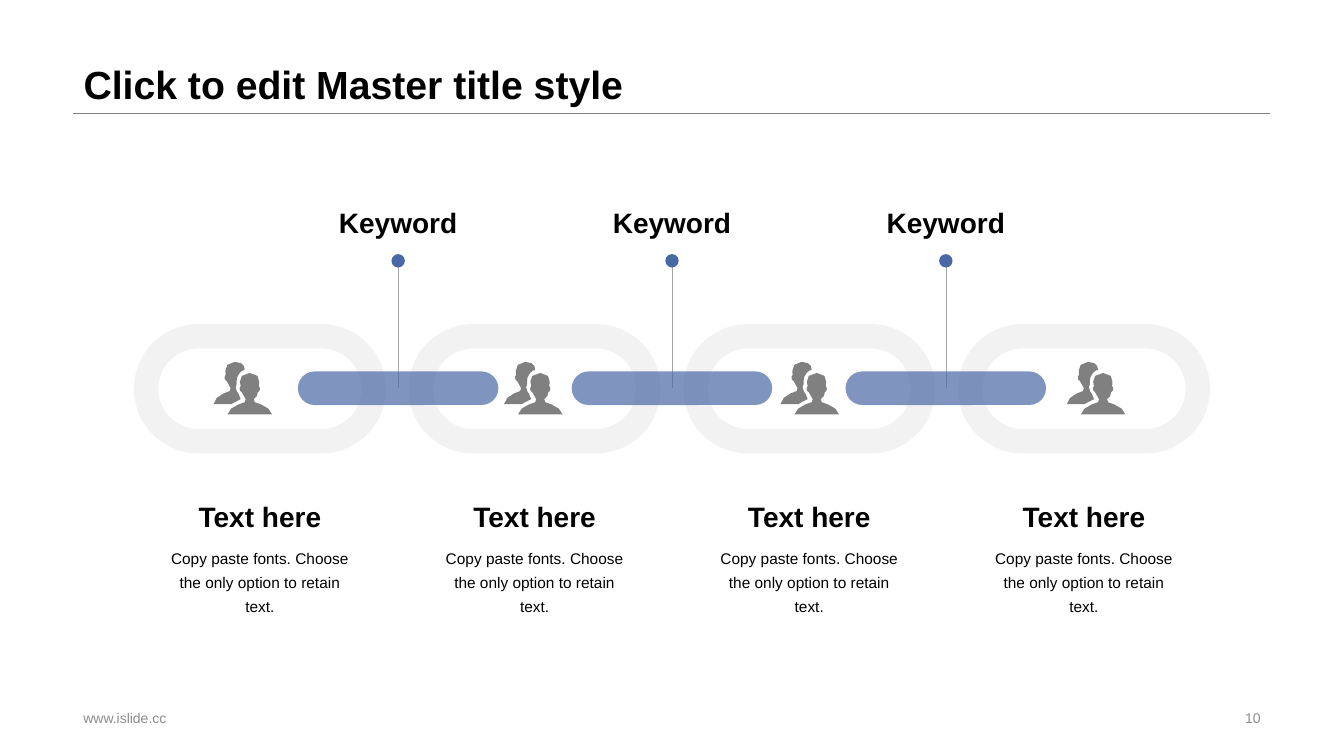
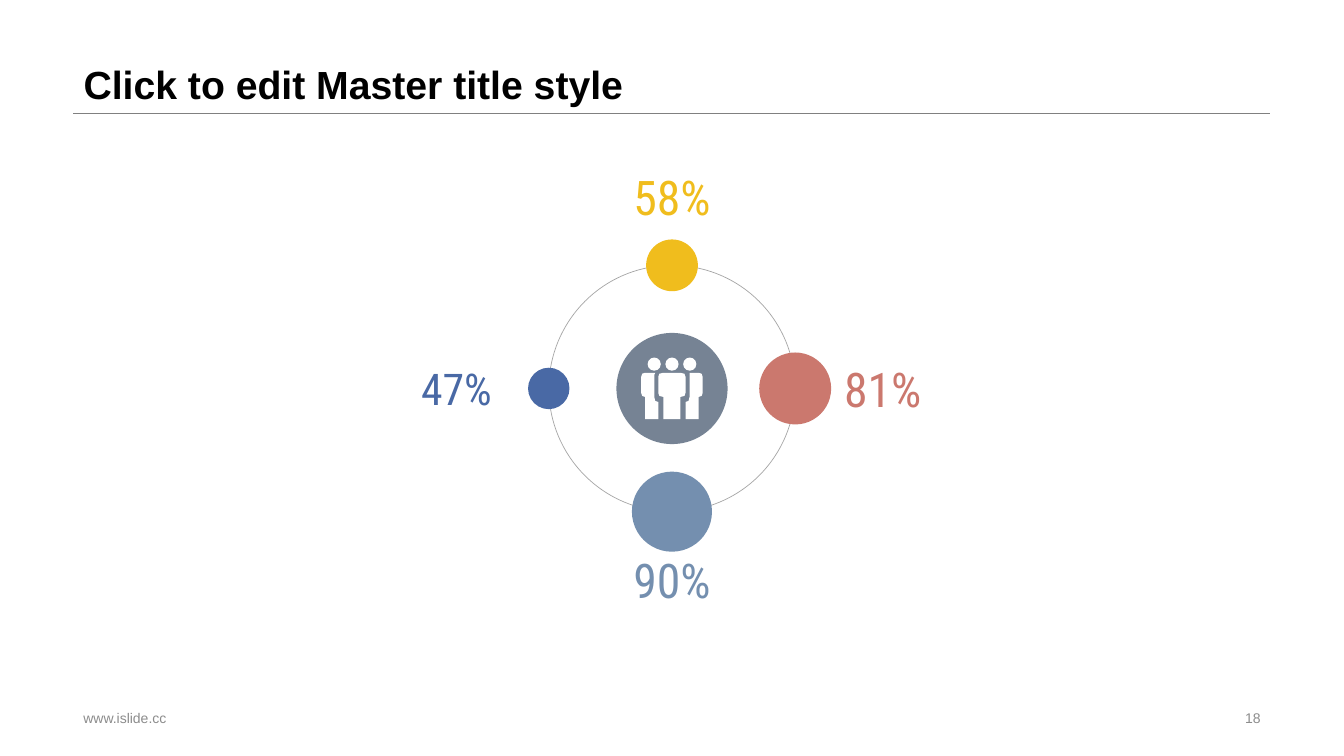
from lxml.etree import SubElement
from pptx import Presentation
from pptx.dml.color import RGBColor
from pptx.enum.shapes import MSO_CONNECTOR, MSO_SHAPE
from pptx.enum.text import MSO_ANCHOR, MSO_AUTO_SIZE, PP_ALIGN
from pptx.oxml.ns import qn
from pptx.util import Pt

HUES = {
    "ink": "000000", "foot": "8C8C8C", "rule": "808080", "icon": "808080",
    "line": "A6A6A6", "link": "F2F2F2", "blue": "4969A5", "gold": "F0BD1D",
    "red": "CB786E", "steel": "748FAF", "slate": "768394", "white": "FFFFFF",
}
SIDE, WIDE, MID = 52.5, 855, 480
PAIR = (
    "41,40 40,37 43,34,44,30 46,30,47,25,45,24 "
    "45,22,48,11,36,11 24,11,26,22,27,24 25,25,26,30,28,30 "
    "29,34,32,37 31,40 27,41,14,46,14,52 58,52 58,46,45,41,41,40/"
    "19,41 27,37 25,32 23,29 22,25 23,22 23,20,22,15,26,11 "
    "27,10,29,8,31,8 31,4,29,0,21,0 10,0,12,11,12,13 10,14,11,19,13,19 "
    "14,23,17,26 16,29 12,30,0,35,0,42 18,42"
).replace("29,34,32,37 ", "32,37 ").replace("14,23,17,26 ", "17,26 ")
TRIO = (
    "48,15 57,15 60,16 61,19 61,35 60,38 57,39 57,61 44,61 "
    "44,44 47,43 48,39 48,17/"
    "22,15 39,15 43,16 44,19 44,35 43,38 39,39 39,61 22,61 "
    "22,39 18,38 17,35 17,19 18,16/"
    "4,15 14,15 13,17 13,39 14,43 17,44 17,61 4,61 "
    "4,39 1,38 0,35 0,19 1,16"
)


def tint(name):
    """Return the named colour."""
    return RGBColor.from_string(HUES[name])


def write(frame, text, size=11, hue="ink", font="Arial", bold=False,
          align=PP_ALIGN.LEFT, anchor=MSO_ANCHOR.MIDDLE, lead=1.0, pad=None):
    """Fill a text frame with one formatted paragraph."""
    frame.text = text
    frame.word_wrap = True
    frame.auto_size = MSO_AUTO_SIZE.NONE
    frame.vertical_anchor = anchor
    if pad is not None:
        frame.margin_left = frame.margin_right = Pt(pad)
        frame.margin_top = frame.margin_bottom = Pt(pad)
    para = frame.paragraphs[0]
    para.alignment = align
    para.line_spacing = lead
    face = para.runs[0].font
    face.name, face.size, face.bold = font, Pt(size), bold
    face.color.rgb = tint(hue)


def label(slide, box, text, **style):
    """Add a text box with the given format."""
    write(slide.shapes.add_textbox(*map(Pt, box)).text_frame, text, **style)


def paint(shape, hue=None, edge=None, width=0.5):
    """Set fill and outline and drop the shadow."""
    shape.shadow.inherit = False
    if hue:
        shape.fill.solid()
        shape.fill.fore_color.rgb = tint(hue)
    else:
        shape.fill.background()
    if edge:
        shape.line.color.rgb = tint(edge)
        shape.line.width = Pt(width)
    else:
        shape.line.fill.background()


def disc(slide, x, y, size, hue=None, edge=None):
    """Add a circle around a centre."""
    box = (x - size / 2, y - size / 2, size, size)
    paint(slide.shapes.add_shape(MSO_SHAPE.OVAL, *map(Pt, box)), hue, edge)


def pill(slide, box, **look):
    """Add a bar with half-round ends."""
    bar = slide.shapes.add_shape(MSO_SHAPE.ROUNDED_RECTANGLE, *map(Pt, box))
    bar.adjustments[0] = 0.5
    paint(bar, **look)
    return bar


def stroke(slide, start, end, hue):
    """Add a thin straight line."""
    line = slide.shapes.add_connector(
        MSO_CONNECTOR.STRAIGHT, *map(Pt, start + end))
    line.line.color.rgb = tint(hue)
    line.line.width = Pt(0.25)
    SubElement(line.element.spPr, qn("a:effectLst"))


def bend(a, b, c, d, steps=3):
    """Return points along a cubic curve after its start."""
    return [tuple((1 - t) ** 3 * p + 3 * t * (1 - t) ** 2 * q
                  + 3 * t * t * (1 - t) * r + t ** 3 * s
                  for p, q, r, s in zip(a, b, c, d))
            for t in (n / steps for n in range(1, steps + 1))]


def glyph(slide, x, y, art, hue, scale=0.72):
    """Draw an icon from coded lines and curves."""
    form = None
    for part in art.split("/"):
        loop = []
        for piece in part.split():
            nums = [float(n) for n in piece.split(",")]
            ends = [(x + scale * p, y + scale * q)
                    for p, q in zip(nums[::2], nums[1::2])]
            loop += bend(loop[-1], *ends) if len(ends) == 3 else ends
        loop = [(Pt(p), Pt(q)) for p, q in loop]
        if form:
            form.move_to(*loop[0])
        else:
            form = slide.shapes.build_freeform(*loop[0], scale=1.0)
        form.add_line_segments(loop[1:], close=True)
    paint(form.convert_to_shape(), hue)


def frame(deck, number):
    """Add a slide with its title, rule and footer."""
    slide = deck.slides.add_slide(deck.slide_layouts[5])
    title = slide.shapes.title
    title.left, title.top, title.width, title.height = map(
        Pt, (SIDE, 0, WIDE, 80.6))
    write(title.text_frame, "Click to edit Master title style", size=28,
          bold=True, anchor=MSO_ANCHOR.BOTTOM, lead=0.9)
    stroke(slide, (SIDE, 80.6), (SIDE + WIDE, 80.6), "rule")
    label(slide, (SIDE, 504.5, 326, 17), "www.islide.cc", size=10, hue="foot")
    label(slide, (SIDE + WIDE - 229, 504.5, 229, 17), number, size=10,
          hue="foot", align=PP_ALIGN.RIGHT)
    return slide


def link(slide, x, y, w, h, band=17.4):
    """Draw one pale link with its caption below."""
    pill(slide, (x + band / 2, y + band / 2, w - band, h - band),
         edge="link", width=band)
    left = x + w / 2 - 75
    label(slide, (left, y + 123.5, 150, 30), "Text here", size=20, bold=True,
          align=PP_ALIGN.CENTER, anchor=MSO_ANCHOR.BOTTOM, lead=0.9)
    label(slide, (left, y + 153.5, 150, 44),
          "Copy paste fonts. Choose the only option to retain text.",
          align=PP_ALIGN.CENTER, anchor=MSO_ANCHOR.TOP, lead=1.3)


def joint(slide, x, y, w, h):
    """Draw one clear blue bar with its pin and keyword."""
    mid = x + w / 2
    stroke(slide, (mid, y + h / 2), (mid, y - 74.5), "line")
    disc(slide, mid, y - 79, 9.6, "blue")
    bar = pill(slide, (x, y, w, h), hue="blue")
    SubElement(bar.element.spPr.find(".//" + qn("a:srgbClr")),
               qn("a:alpha"), val="70000")
    label(slide, (mid - 78, y - 123, 156, 33), "Keyword", size=20, bold=True,
          align=PP_ALIGN.CENTER)


def chain(slide, y):
    """Draw the row of links, joints and icons."""
    for n in range(4):
        link(slide, MID + (n - 1.5) * 196.2 - 90, y, 180, 92.4)
    for n in range(3):
        joint(slide, MID + (n - 1) * 195.6 - 71.6, y + 33.8, 143.2, 24)
    for x in (152.5, 360, 557.5, 762):
        glyph(slide, x, y + 27, PAIR, "icon")


def orbit(slide, x, y, r):
    """Draw the hub, its ring and the four shares."""
    disc(slide, x, y, 2 * r, edge="line")
    disc(slide, x, y, 79.4, "slate")
    glyph(slide, x - 22, y - 22, TRIO, "white")
    for n in (-1, 0, 1):
        disc(slide, x + n * 12.7, y - 17.4, 9.4, "white")
    shares = (
        ("47%", -1, 0, 29.6, 154, 31.2, "blue"),
        ("58%", 0, -1, 37, 137, 34.1, "gold"),
        ("81%", 1, 0, 51.4, 150.5, 34.1, "red"),
        ("90%", 0, 1, 57.2, 136.5, 34.1, "steel"),
    )
    for text, dx, dy, size, far, font, hue in shares:
        disc(slide, x + dx * r, y + dy * r, size, hue)
        label(slide, (x + dx * far - 34, y + dy * far - 22, 68, 44), text,
              size=font, hue=hue, font="Roboto Condensed",
              align=PP_ALIGN.CENTER, pad=0)


def main():
    """Build and save the deck."""
    deck = Presentation()
    deck.slide_width, deck.slide_height = Pt(960), Pt(540)
    chain(frame(deck, "10"), 231.5)
    orbit(frame(deck, "18"), MID, 277.5, 88)
    deck.save("out.pptx")


if __name__ == "__main__":
    main()
